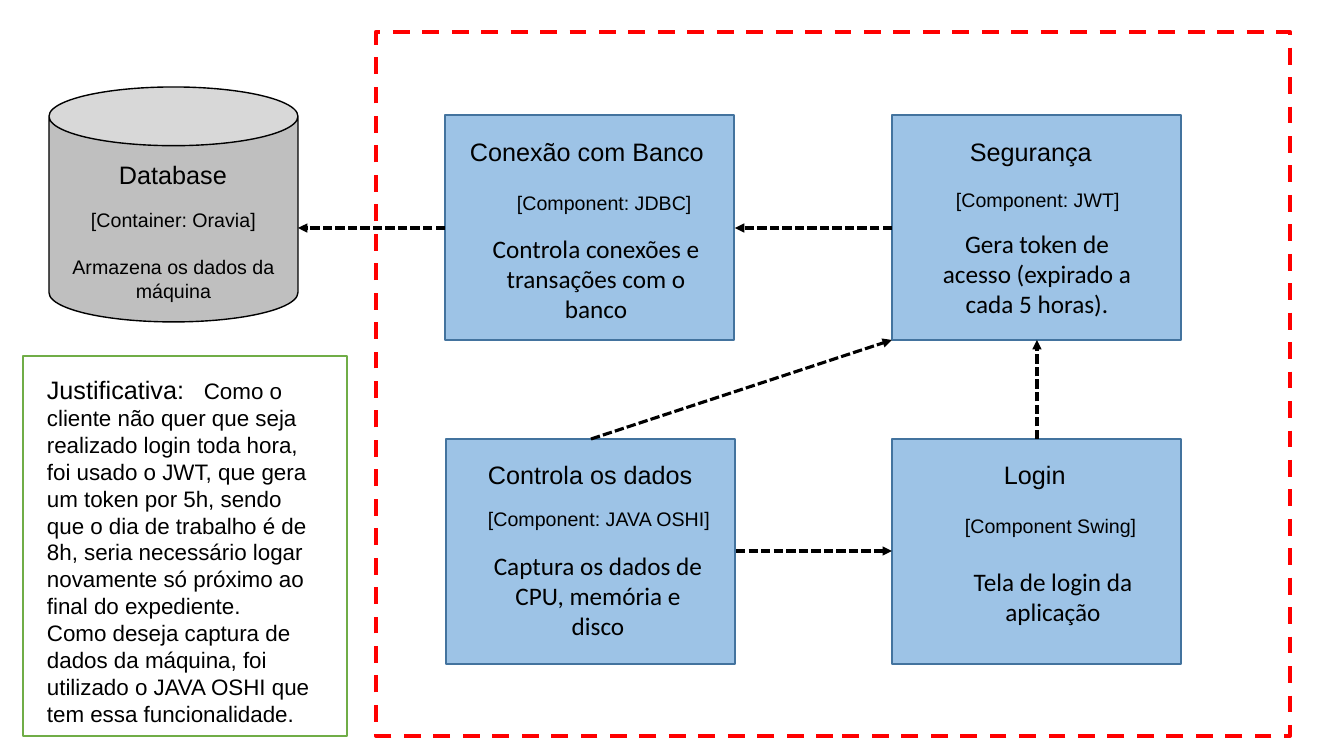
import pptx
import pptx.util
import pptx.dml.color
import pptx.enum.dml
import pptx.enum.shapes
import pptx.enum.text
import pptx.oxml.ns
import lxml.etree

RGB = pptx.dml.color.RGBColor
BLACK = RGB(0x00, 0x00, 0x00)
WHITE = RGB(0xFF, 0xFF, 0xFF)
RED = RGB(0xFF, 0x00, 0x00)
GREEN = RGB(0x70, 0xAD, 0x47)
GREY = RGB(0xBF, 0xBF, 0xBF)
BLUE = RGB(0x9D, 0xC3, 0xE6)
BLUE_EDGE = RGB(0x43, 0x73, 0x9E)

SHAPE = pptx.enum.shapes.MSO_SHAPE
DASH = pptx.enum.dml.MSO_LINE
ALIGN = pptx.enum.text.PP_ALIGN
ANCHOR = pptx.enum.text.MSO_ANCHOR

CARD_W, CARD_H = 289, 225
COMPONENTS = [
    (445, 115, ("Conexão com Banco", 460, 131), ("[Component: JDBC]", 507, 186),
     ("Controla conexões e transações com o banco", 478, 228)),
    (892, 115, ("Segurança", 960, 131), ("[Component: JWT]", 946, 183),
     ("Gera token de acesso (expirado a cada 5 horas).", 919, 223)),
    (446, 439, ("Controla os dados", 478, 454), ("[Component: JAVA OSHI]", 478, 502),
     ("Captura os dados de CPU, memória e disco", 480, 545)),
    (892, 439, ("Login", 994, 454), ("[Component Swing]", 955, 509),
     ("Tela de login da aplicação", 935, 561)),
]
ARROWS = [
    (445, 228, 298, 228),
    (892, 228, 735, 228),
    (1037, 439, 1037, 340),
    (736, 551, 892, 551),
    (591, 439, 892, 340),
]


def px(n):
    return pptx.util.Emu(round(n * 914400 / 100.8))


def add_run(p, text, size, font="Arial"):
    r = p.add_run()
    r.text = text
    r.font.size = pptx.util.Pt(size)
    r.font.name = font
    r.font.color.rgb = BLACK


def add_box(s, kind, x, y, w, h, fill, line, width=1):
    sp = s.shapes.add_shape(kind, px(x), px(y), px(w), px(h))
    sp.shadow.inherit = False
    if fill is None:
        sp.fill.background()
    else:
        sp.fill.solid()
        sp.fill.fore_color.rgb = fill
    sp.line.color.rgb = line
    sp.line.width = pptx.util.Pt(width)
    return sp


def add_text_frame(s, x, y, w, h):
    tf = s.shapes.add_textbox(px(x), px(y), px(w), px(h)).text_frame
    tf.word_wrap = True
    return tf


def add_label(s, text, x, y, w, h, size, font="Arial", align=ALIGN.LEFT):
    p = add_text_frame(s, x, y, w, h).paragraphs[0]
    p.alignment = align
    add_run(p, text, size, font)


def add_component(s, x, y, title, kind, detail):
    add_box(s, SHAPE.RECTANGLE, x, y, CARD_W, CARD_H, BLUE, BLUE_EDGE)
    add_label(s, *title, 276, 40, 18)
    add_label(s, *kind, 256, 34, 14)
    add_label(s, *detail, 236, 102, 18, "Calibri", ALIGN.CENTER)


def add_database(s):
    sp = add_box(s, SHAPE.CAN, 49, 87, 249, 235, GREY, BLACK)
    tf = sp.text_frame
    tf.word_wrap = True
    tf.vertical_anchor = ANCHOR.TOP
    tf.margin_top = px(62)
    tf.margin_bottom = 0
    p = tf.paragraphs[0]
    p.alignment = ALIGN.CENTER
    add_run(p, "[Container: Oravia]", 14)
    p = tf.add_paragraph()
    p.alignment = ALIGN.CENTER
    p.space_before = pptx.util.Pt(17)
    add_run(p, "Armazena os dados da máquina", 14)
    add_label(s, "Database", 109, 154, 143, 40, 18)


def add_arrow(s, x1, y1, x2, y2):
    c = s.shapes.add_connector(pptx.enum.shapes.MSO_CONNECTOR.STRAIGHT,
                               px(x1), px(y1), px(x2), px(y2))
    c.line.color.rgb = BLACK
    c.line.width = pptx.util.Pt(2.25)
    c.line.dash_style = DASH.SQUARE_DOT
    qn = pptx.oxml.ns.qn
    ln = c.line._get_or_add_ln()
    lxml.etree.SubElement(ln, qn("a:tailEnd")).set("type", "triangle")
    lxml.etree.SubElement(c._element.spPr, qn("a:effectLst"))


def add_tab_stop(p, position):
    qn = pptx.oxml.ns.qn
    tabs = lxml.etree.SubElement(p._p.get_or_add_pPr(), qn("a:tabLst"))
    tab = lxml.etree.SubElement(tabs, qn("a:tab"))
    tab.set("pos", str(position))
    tab.set("algn", "l")


def add_justification(s):
    add_box(s, SHAPE.RECTANGLE, 23, 356, 324, 380, WHITE, GREEN)
    tf = add_text_frame(s, 37, 369, 296, 367)
    p = tf.paragraphs[0]
    add_tab_stop(p, px(157))
    add_run(p, "Justificativa:\t", 18)
    add_run(p, "Como o cliente não quer que seja realizado login toda hora, "
               "foi usado o JWT, que gera um token por 5h, sendo que o dia de "
               "trabalho é de 8h, seria necessário logar novamente só próximo "
               "ao final do expediente.", 16)
    add_run(tf.add_paragraph(),
            "Como deseja captura de dados da máquina, foi utilizado o "
            "JAVA OSHI que tem essa funcionalidade.", 16)


def main():
    prs = pptx.Presentation()
    prs.slide_width, prs.slide_height = px(1344), px(756)
    s = prs.slides.add_slide(prs.slide_layouts[6])
    add_database(s)
    for component in COMPONENTS:
        add_component(s, *component)
    boundary = add_box(s, SHAPE.RECTANGLE, 376, 32, 914, 704, None, RED, 3)
    boundary.line.dash_style = DASH.DASH
    for arrow in ARROWS:
        add_arrow(s, *arrow)
    add_justification(s)
    prs.save("out.pptx")


main()
